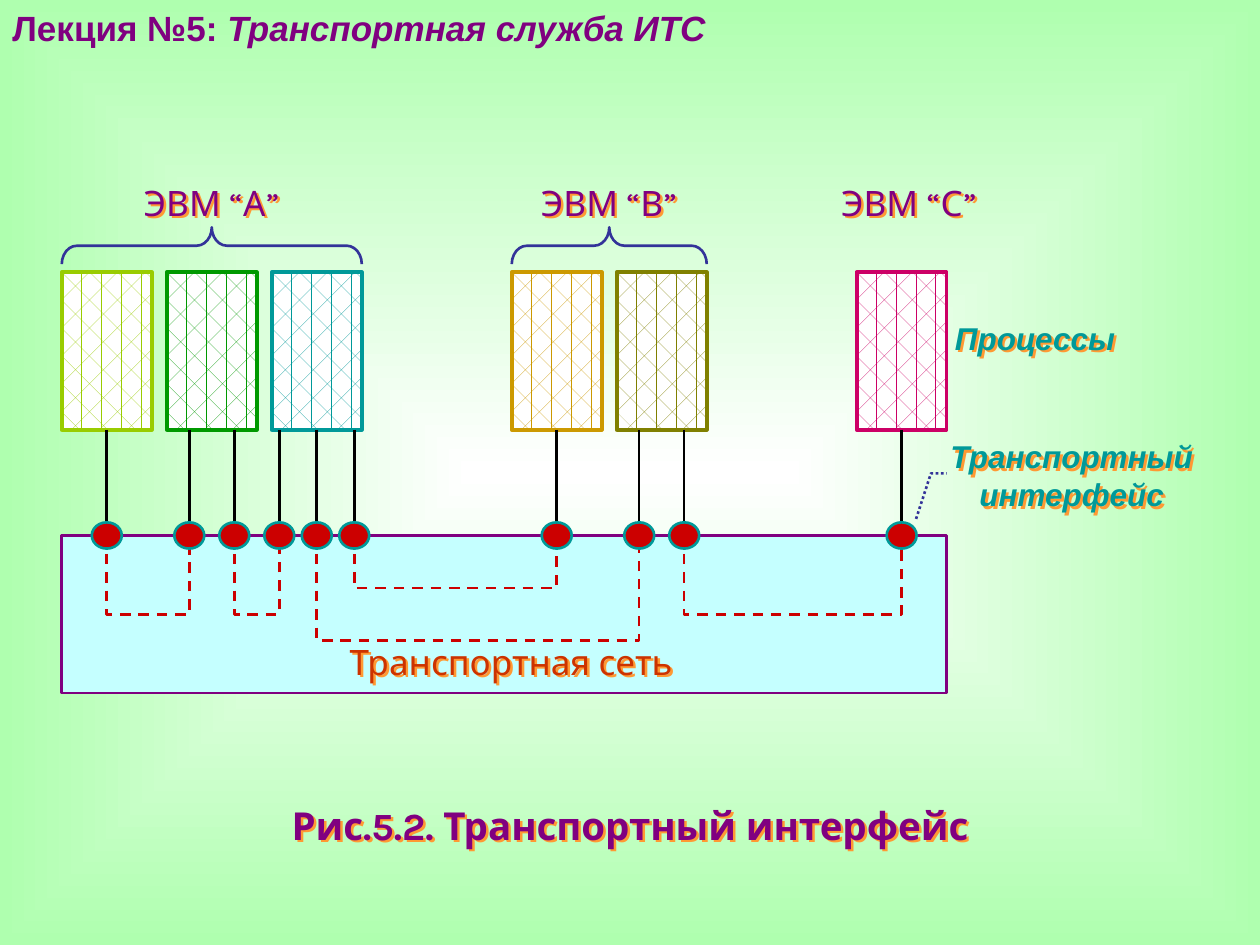
from lxml.etree import SubElement
from pptx import Presentation
from pptx.dml.color import RGBColor
from pptx.enum.dml import MSO_LINE, MSO_PATTERN
from pptx.enum.shapes import MSO_CONNECTOR, MSO_SHAPE
from pptx.enum.text import PP_ALIGN
from pptx.oxml import parse_xml
from pptx.oxml.ns import qn
from pptx.util import Pt

WHITE = RGBColor(0xFF, 0xFF, 0xFF)
BLACK = RGBColor(0x00, 0x00, 0x00)
MINT = RGBColor(0xAF, 0xFF, 0xAF)
PURPLE = RGBColor(0x80, 0x00, 0x80)
NAVY = RGBColor(0x33, 0x33, 0x99)
LIME = RGBColor(0x99, 0xCC, 0x00)
GREEN = RGBColor(0x00, 0x99, 0x00)
TEAL = RGBColor(0x00, 0x99, 0x99)
GOLD = RGBColor(0xCC, 0x99, 0x00)
OLIVE = RGBColor(0x80, 0x80, 0x00)
PINK = RGBColor(0xCC, 0x00, 0x66)
AQUA = RGBColor(0xC5, 0xFF, 0xFF)
RED = RGBColor(0xCC, 0x00, 0x00)
RUST = RGBColor(0xCC, 0x33, 0x00)

A_NS = "http://schemas.openxmlformats.org/drawingml/2006/main"
GLOW = (f'<a:effectLst xmlns:a="{A_NS}">'
        '<a:outerShdw dist="25400" dir="2700000" algn="ctr">'
        '<a:srgbClr val="FF9933"/></a:outerShdw></a:effectLst>')

# The drawing sits on a grid of columns COL wide, counted from LEFT.
LEFT, COL = 35.3, 8.57
BOX_TOP, BOX_H = 155.5, 90
BOX_END = BOX_TOP + BOX_H
NET_TOP = 306

prs = Presentation()
prs.slide_width, prs.slide_height = Pt(720), Pt(540)
slide = prs.slides.add_slide(prs.slide_layouts[6])
shapes = slide.shapes

back = slide.background.fill
back.gradient()
for stop, color, pos in zip(back.gradient_stops, (WHITE, MINT), (0, 1)):
    stop.color.rgb = color
    stop.position = pos
grad = slide.background._cSld.find(".//" + qn("a:gradFill"))
grad.remove(grad.find(qn("a:lin")))
focus = SubElement(grad, qn("a:path"), {"path": "shape"})
SubElement(focus, qn("a:fillToRect"), dict.fromkeys("ltrb", "50000"))


def style(shape, color, width=1.5, fill=None):
    shape.shadow.inherit = False
    shape.line.color.rgb = color
    shape.line.width = Pt(width)
    if fill is None:
        shape.fill.background()
    else:
        shape.fill.solid()
        shape.fill.fore_color.rgb = fill


def label(lines, x, y, w, h, size, color, face="Karla", bold=None, slant=None, pad=0):
    """Add a centred text with an orange shadow, one paragraph a line."""
    box = shapes.add_textbox(Pt(x), Pt(y), Pt(w), Pt(h))
    box._element.spPr.append(parse_xml(GLOW))
    frame = box.text_frame
    frame.word_wrap = True
    frame.margin_left = frame.margin_right = Pt(2 * pad)
    frame.margin_top = frame.margin_bottom = Pt(pad)
    frame.text = lines
    for para in frame.paragraphs:
        para.alignment = PP_ALIGN.CENTER
        font = para.font
        font.name, font.size, font.color.rgb = face, Pt(size), color
        font.bold, font.italic = bold, slant


# Title
title = shapes.add_textbox(0, 0, Pt(650), Pt(31)).text_frame
title.word_wrap = True
para = title.paragraphs[0]
para.font.name, para.font.size, para.font.bold = "Arial", Pt(20), True
para.font.color.rgb = PURPLE
para.add_run().text = "Лекция №5: "
topic = para.add_run()
topic.text = "Транспортная служба ИТС"
topic.font.italic = True

# Braces over the processes of one machine
for start, span in ((0, 20), (30, 13)):
    mid, size = LEFT + (start + span / 2) * COL, span * COL
    brace = shapes.add_shape(MSO_SHAPE.LEFT_BRACE, Pt(mid - 10.5), Pt(140.4 - size / 2),
                             Pt(21), Pt(size))
    brace.rotation = 90
    brace.adjustments[0] = 0.41
    style(brace, NAVY)

# Processes
for col, color in ((0, LIME), (7, GREEN), (14, TEAL), (30, GOLD), (37, OLIVE), (53, PINK)):
    box = shapes.add_shape(MSO_SHAPE.RECTANGLE, Pt(LEFT + col * COL), Pt(BOX_TOP),
                           Pt(6 * COL), Pt(BOX_H))
    style(box, color, 2.25)
    box.fill.patterned()
    box.fill.pattern = MSO_PATTERN.DIVOT
    box.fill.fore_color.rgb = color
    box.fill.back_color.rgb = WHITE

# Network
net = shapes.add_shape(MSO_SHAPE.RECTANGLE, Pt(LEFT), Pt(NET_TOP), Pt(59 * COL), Pt(BOX_H))
style(net, PURPLE, fill=AQUA)

# Links: two columns and the depth of the path inside the network
links = ((3, 8.5, 45), (11.5, 14.5, 45), (19.5, 33, 30), (17, 38.5, 60), (41.5, 56, 45))
ports = sorted(LEFT + col * COL for link in links for col in link[:2])

for x in ports:
    wire = shapes.add_connector(MSO_CONNECTOR.STRAIGHT, Pt(x), Pt(BOX_END), Pt(x), Pt(NET_TOP))
    wire.line.color.rgb = BLACK
    wire.line.width = Pt(1.5)
    SubElement(wire._element.spPr, qn("a:effectLst"))

routes = []
for start, end, depth in links:
    x1, x2, low = LEFT + start * COL, LEFT + end * COL, NET_TOP + depth
    route = [(x1, NET_TOP), (x1, low), (x2, low), (x2, NET_TOP)]
    routes.append((route, RED, MSO_LINE.DASH))
pointer = [(523.5, 296.5), (532, 270.5), (540.9, 270.5)]
routes.append((pointer, NAVY, MSO_LINE.ROUND_DOT))

for route, color, dash in routes:
    dots = [(Pt(x), Pt(y)) for x, y in route]
    pen = shapes.build_freeform(*dots[0])
    pen.add_line_segments(dots[1:], close=False)
    path = pen.convert_to_shape()
    style(path, color)
    path.line.dash_style = dash

for x in ports:
    port = shapes.add_shape(MSO_SHAPE.OVAL, Pt(x - COL), Pt(NET_TOP - 7.5), Pt(2 * COL), Pt(15))
    style(port, TEAL, fill=RED)

# Labels
for name, col in (("ЭВМ “А”", 10), ("ЭВМ “В”", 36.5), ("ЭВМ “С”", 56.5)):
    label(name, LEFT + (col - 5) * COL, 103.7, 10 * COL, 26, 20, PURPLE)
label("Транспортная сеть", 190, 366, 204, 30, 20, RUST)
label("Процессы", 540.9, 182, 101, 26, 18, TEAL, "Arial", True, True)
label("Транспортный\nинтерфейс", 540.9, 250, 143, 52, 18, TEAL, "Arial", True, True)
label("Рис.5.2. Транспортный интерфейс", 76.5, 454.5, 567, 34, 22, PURPLE, bold=True, pad=3.6)

prs.save("out.pptx")
